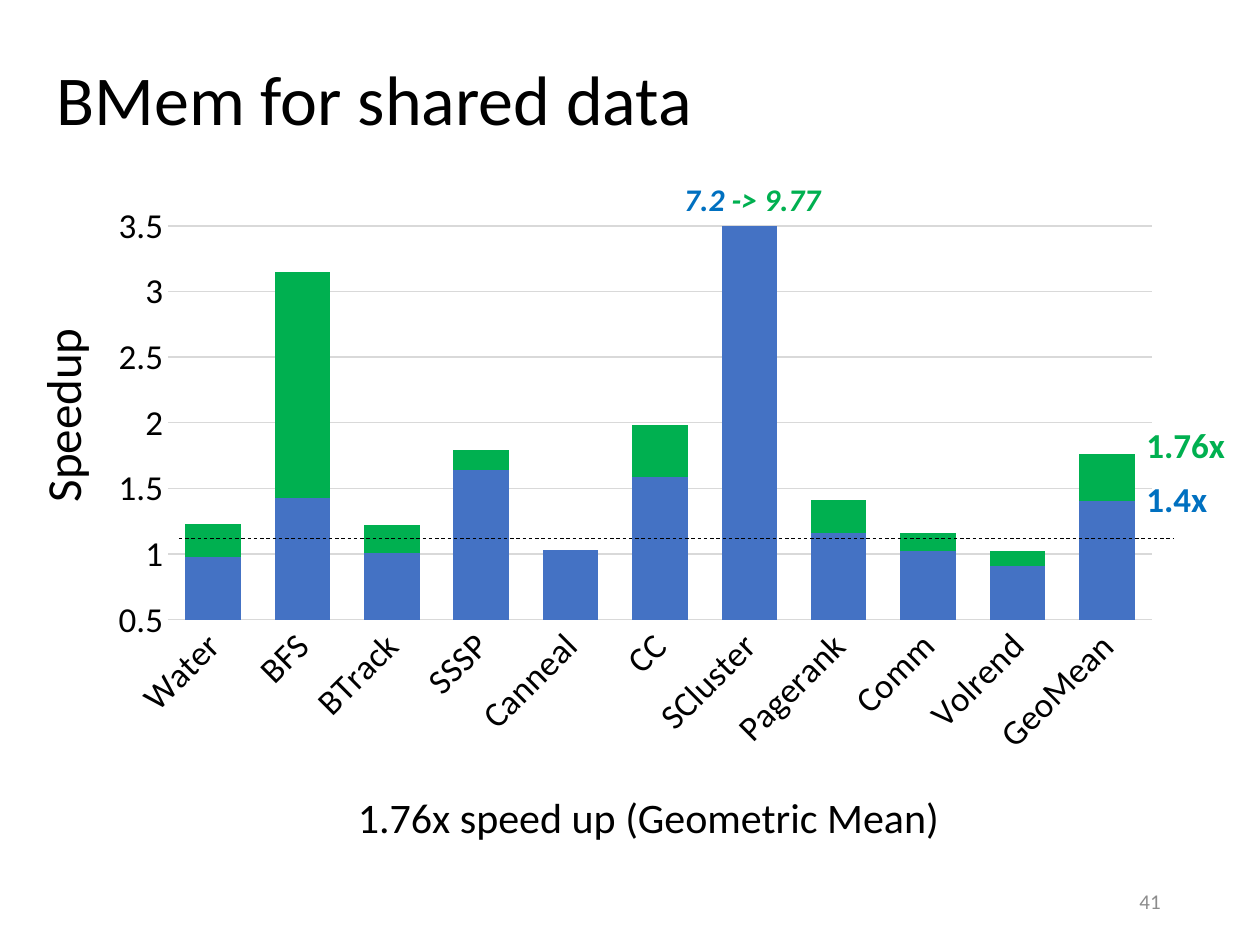
from lxml.etree import SubElement
from pptx import Presentation
from pptx.chart.data import CategoryChartData
from pptx.dml.color import RGBColor
from pptx.enum.chart import XL_CHART_TYPE, XL_TICK_MARK
from pptx.enum.dml import MSO_LINE
from pptx.enum.shapes import MSO_CONNECTOR
from pptx.enum.text import MSO_ANCHOR, MSO_AUTO_SIZE, PP_ALIGN
from pptx.oxml.ns import qn
from pptx.util import Inches, Pt

BLACK = RGBColor(0x00, 0x00, 0x00)
GRAY = RGBColor(0x8C, 0x8C, 0x8C)
SILVER = RGBColor(0xA5, 0xA5, 0xA5)
PALE = RGBColor(0xD9, 0xD9, 0xD9)
BLUE = RGBColor(0x44, 0x72, 0xC4)
GREEN = RGBColor(0x00, 0xB0, 0x50)
AZURE = RGBColor(0x00, 0x70, 0xC0)
FACE = "Calibri"

NAMES = ["Water", "BFS", "BTrack", "SSSP", "Canneal", "CC", "SCluster",
         "Pagerank", "Comm", "Volrend", "GeoMean"]
SERIES = [
    ("Series 1", BLUE,
     [0.98, 1.43, 1.01, 1.64, 1.03, 1.59, 7.2, 1.16, 1.02, 0.91, 1.4]),
    ("Series 2", GREEN,
     [0.25, 1.72, 0.21, 0.15, 0, 0.39, 2.57, 0.25, 0.14, 0.11, 0.36]),
    ("Series 3", SILVER, [None] * len(NAMES)),
]


def style(font, size, color, bold=False, italic=False):
    font.name = FACE
    font.size = Pt(size)
    font.bold = bold
    font.italic = italic
    font.color.rgb = color


def write(para, text, *look):
    run = para.add_run()
    run.text = text
    style(run.font, *look)


def add_label(slide, box, runs, align=PP_ALIGN.LEFT, wrap=True, grow=True):
    shape = slide.shapes.add_textbox(*map(Inches, box))
    frame = shape.text_frame
    frame.word_wrap = wrap
    if grow:
        frame.auto_size = MSO_AUTO_SIZE.SHAPE_TO_FIT_TEXT
    para = frame.paragraphs[0]
    para.alignment = align
    for run in runs:
        write(para, *run)
    return shape


def add_title(slide, box):
    title = slide.shapes.title
    title.left, title.top, title.width, title.height = map(Inches, box)
    frame = title.text_frame
    frame.word_wrap = True
    frame.vertical_anchor = MSO_ANCHOR.MIDDLE
    para = frame.paragraphs[0]
    para.alignment = PP_ALIGN.LEFT
    para.line_spacing = 0.9
    write(para, "BMem for shared data", 40, BLACK)


def add_bars(slide, box):
    data = CategoryChartData()
    data.categories = NAMES
    for name, _, values in SERIES:
        data.add_series(name, values)
    chart = slide.shapes.add_chart(
        XL_CHART_TYPE.COLUMN_STACKED, *map(Inches, box), data).chart
    chart.has_legend = False
    chart.has_title = False
    style(chart.font, 20, BLACK)

    plot = chart.plots[0]
    plot.gap_width = 61
    plot.overlap = 100
    plot.vary_by_categories = False
    for bars, (_, color, _) in zip(plot.series, SERIES):
        bars.format.fill.solid()
        bars.format.fill.fore_color.rgb = color
        bars.invert_if_negative = False

    cats, vals = chart.category_axis, chart.value_axis
    for axis in (cats, vals):
        axis.major_tick_mark = XL_TICK_MARK.NONE
        axis.minor_tick_mark = XL_TICK_MARK.NONE
        style(axis.tick_labels.font, 20, BLACK)
    cats._element.txPr.bodyPr.set("rot", "-2700000")
    vals.minimum_scale = 0.5
    vals.maximum_scale = 3.5
    vals.major_unit = 0.5
    vals.tick_labels.number_format = "General"
    vals.tick_labels.number_format_is_linked = False
    vals.format.line.fill.background()
    vals.has_major_gridlines = True
    for line in (cats.format.line, vals.major_gridlines.format.line):
        line.color.rgb = PALE
        line.width = Pt(0.75)


def add_dash(slide, left, right, y):
    rule = slide.shapes.add_connector(
        MSO_CONNECTOR.STRAIGHT, Inches(left), Inches(y), Inches(right), Inches(y))
    rule.line.color.rgb = BLACK
    rule.line.width = Pt(0.5)
    rule.line.dash_style = MSO_LINE.DASH
    SubElement(rule._element.spPr, qn("a:effectLst"))


def add_peak(slide, box):
    shape = add_label(slide, box, [("7.2 ", 18, AZURE, True, True),
                                   ("-> 9.77", 18, GREEN, True, True)], grow=False)
    frame = shape.text_frame
    frame.margin_left = frame.margin_right = Inches(0.07)
    frame.margin_top = frame.margin_bottom = Inches(0.04)
    frame.paragraphs[0].line_spacing = 0.9


def add_page(slide, box):
    shape = add_label(slide, box, [("41", 12, GRAY)], PP_ALIGN.RIGHT, grow=False)
    shape.text_frame.vertical_anchor = MSO_ANCHOR.MIDDLE


def main():
    deck = Presentation()
    deck.slide_width = Inches(10)
    deck.slide_height = Inches(7.5)
    slide = deck.slides.add_slide(deck.slide_layouts[5])

    add_page(slide, (7.06, 6.95, 2.25, 0.4))
    add_bars(slide, (0.77, 1.53, 8.54, 4.56))
    speed = add_label(slide, (-0.31, 3, 1.6, 0.57),
                      [("Speedup", 28, BLACK)], wrap=False)
    speed.rotation = 270
    add_title(slide, (0.35, 0.25, 9.3, 1.13))
    add_dash(slide, 1.42, 9.31, 4.27)
    add_peak(slide, (5.36, 1.42, 1.52, 0.4))
    for text, color, top in (("1.4x", AZURE, 3.74), ("1.76x", GREEN, 3.31)):
        add_label(slide, (9, top, 0.84, 0.44), [(text, 20, color, True)])
    add_label(slide, (0.35, 6.23, 9.67, 0.5),
              [("1.76x speed up (Geometric Mean) ", 24, BLACK)], PP_ALIGN.CENTER)
    deck.save("out.pptx")


if __name__ == "__main__":
    main()
